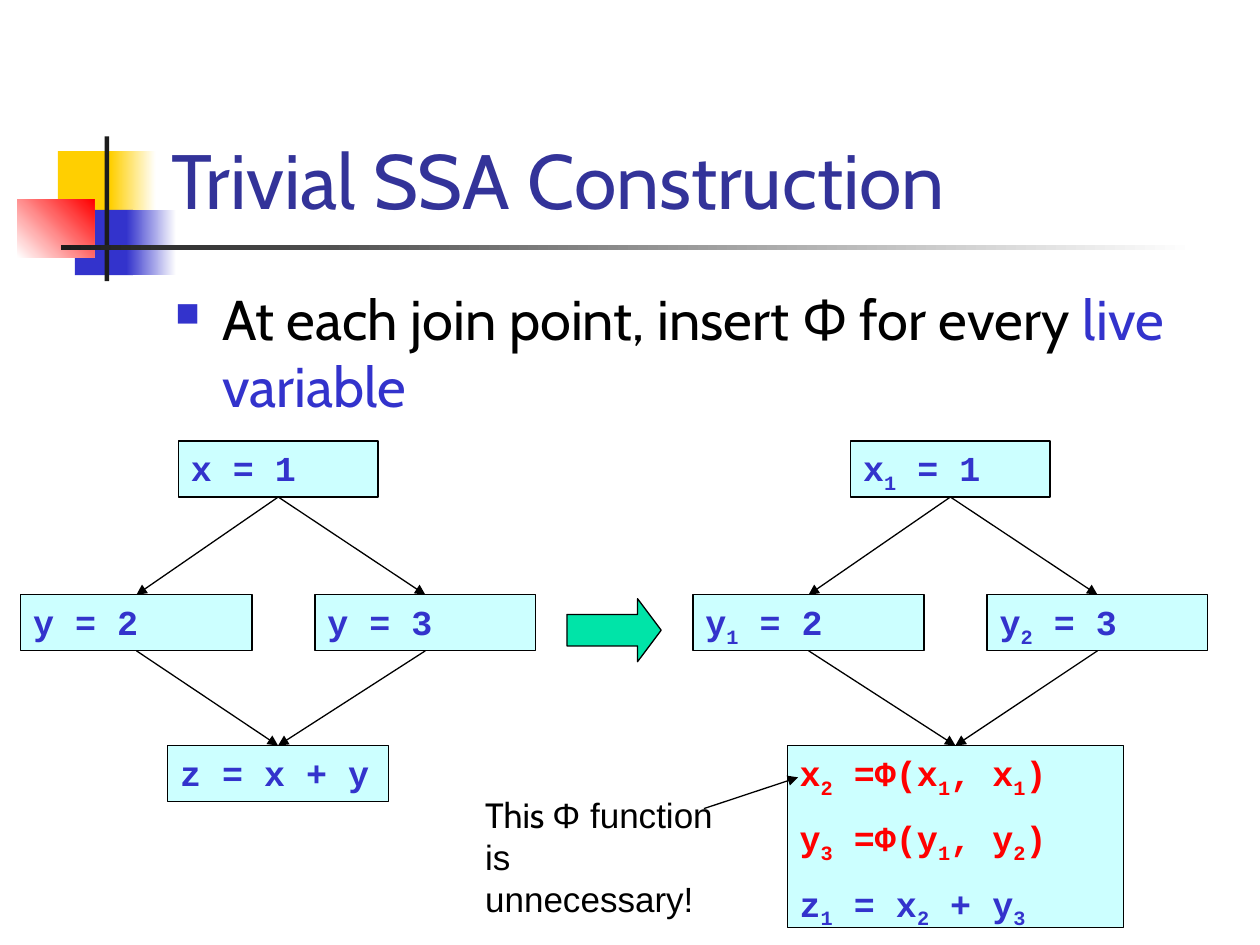
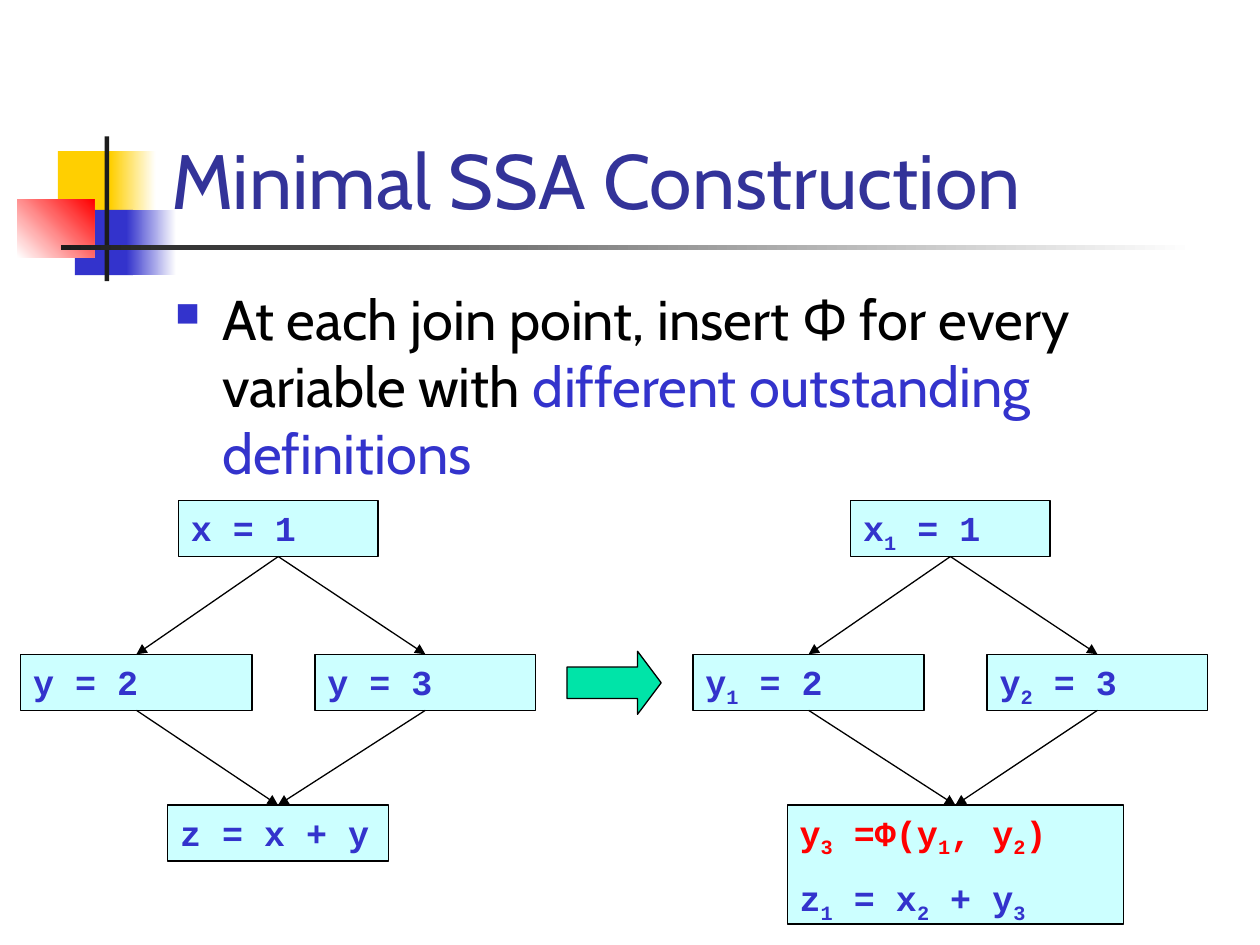
from pptx import Presentation
from pptx.dml.color import RGBColor
from pptx.enum.shapes import MSO_CONNECTOR, MSO_SHAPE
from pptx.enum.text import MSO_ANCHOR, PP_ALIGN
from pptx.oxml.ns import qn
from pptx.util import Cm, Pt
from lxml.etree import SubElement

COLORS = {
    "white": "FFFFFF", "black": "000000", "ink": "1C1C1C",
    "yellow": "FFCF01", "blue": "3333CC", "red": "FF0000",
    "title": "333399", "block": "CCFFFF", "arrow": "00E4A8",
}
TEXT_FONT, CODE_FONT, NOTE_FONT = "Cabin", "Courier New", "Arial"
BLOCK_HEIGHT = 1.13
BRANCH_DROP, JOIN_DROP = 3.1, 6.14


def rgb(name):
    return RGBColor.from_string(COLORS[name])


def add_run(paragraph, text, font_name, size, color, bold=False):
    run = paragraph.add_run()
    run.text = text
    run.font.name = font_name
    run.font.size = Pt(size)
    run.font.bold = bold
    run.font.color.rgb = rgb(color)
    return run


def add_box(slide, kind, left, top, width, height, fill, outlined=False):
    shape = slide.shapes.add_shape(kind, Cm(left), Cm(top), Cm(width), Cm(height))
    shape.shadow.inherit = False
    if isinstance(fill, tuple):
        start, end, angle = fill
        shape.fill.gradient()
        shape.fill.gradient_angle = angle
        for stop, color in zip(shape.fill.gradient_stops, (start, end)):
            stop.color.rgb = rgb(color)
    else:
        shape.fill.solid()
        shape.fill.fore_color.rgb = rgb(fill)
    if outlined:
        shape.line.color.rgb = rgb("black")
        shape.line.width = Pt(0.75)
    else:
        shape.line.fill.background()
    return shape


def add_text_frame(slide, left, top, width, height):
    box = slide.shapes.add_textbox(Cm(left), Cm(top), Cm(width), Cm(height))
    box.text_frame.word_wrap = True
    return box.text_frame


def add_ornament(slide, left, top):
    parts = [
        (0.82, 0.3, 1.22, 1.32, "yellow"),
        (1.88, 0.3, 0.91, 1.32, ("yellow", "white", 0)),
        (1.16, 1.48, 1.17, 1.32, "blue"),
        (2.2, 1.48, 1.0, 1.32, ("blue", "white", 0)),
        (0, 1.27, 1.55, 1.17, ("white", "red", 45)),
        (1.76, 0, 0.09, 2.92, "ink"),
        (0.88, 2.19, 22.86, 0.1, ("ink", "white", 0)),
    ]
    for dx, dy, width, height, fill in parts:
        add_box(slide, MSO_SHAPE.RECTANGLE, left + dx, top + dy, width, height, fill)


def add_title(slide, title):
    text_frame = add_text_frame(slide, 3.2, 0.6, 21.64, 4.06)
    text_frame.vertical_anchor = MSO_ANCHOR.BOTTOM
    add_run(text_frame.paragraphs[0], title, TEXT_FONT, 44, "title")


def add_rule(slide, opening, emphasis):
    paragraph = add_text_frame(slide, 3.28, 5.61, 21.59, 11.43).paragraphs[0]
    properties = paragraph._p.get_or_add_pPr()
    properties.set("marL", str(Cm(0.95)))
    properties.set("indent", str(-Cm(0.95)))
    bullet_color = SubElement(properties, qn("a:buClr"))
    SubElement(bullet_color, qn("a:srgbClr"), val=COLORS["blue"])
    SubElement(properties, qn("a:buSzPct"), val="60000")
    SubElement(properties, qn("a:buChar"), char="■")
    add_run(paragraph, opening, TEXT_FONT, 32, "black")
    add_run(paragraph, emphasis, TEXT_FONT, 32, "blue")


def write_code(paragraph, line):
    color = "red" if "Φ" in line else "blue"
    first, *indexed = line.split("_")
    add_run(paragraph, first, CODE_FONT, 20, color, True)
    for piece in indexed:
        subscript = add_run(paragraph, piece[0], CODE_FONT, 20, color, True)
        subscript._r.get_or_add_rPr().set("baseline", "-25000")
        if piece[1:]:
            add_run(paragraph, piece[1:], CODE_FONT, 20, color, True)


def add_block(slide, left, top, width, lines, height=BLOCK_HEIGHT):
    shape = add_box(slide, MSO_SHAPE.RECTANGLE, left, top, width, height, "block", True)
    text_frame = shape.text_frame
    text_frame.vertical_anchor = MSO_ANCHOR.TOP
    text_frame.margin_top = Cm(0.12)
    for index, line in enumerate(lines):
        paragraph = text_frame.add_paragraph() if index else text_frame.paragraphs[0]
        paragraph.alignment = PP_ALIGN.LEFT
        if index:
            paragraph.space_before = Pt(10)
        write_code(paragraph, line)
    return shape


def add_arrow(slide, start=(0, 0), end=(0, 0)):
    points = [Cm(value) for value in (*start, *end)]
    connector = slide.shapes.add_connector(MSO_CONNECTOR.STRAIGHT, *points)
    connector.line.color.rgb = rgb("black")
    connector.line.width = Pt(0.75)
    SubElement(connector.line._get_or_add_ln(), qn("a:tailEnd"), type="triangle")
    SubElement(connector._element.spPr, qn("a:effectLst"))
    return connector


def add_flow_graph(slide, left, top, code, join_left, join_width, join_height):
    entry_line, left_line, right_line, join_lines = code
    entry = add_block(slide, left + 3.18, top, 4.02, [entry_line])
    branches = [
        add_block(slide, left + dx, top + BRANCH_DROP, width, [line])
        for dx, width, line in ((0, 4.66, left_line), (5.93, 4.45, right_line))
    ]
    join = add_block(slide, left + join_left, top + JOIN_DROP, join_width,
                     join_lines, join_height)
    for branch in branches:
        for source, target in ((entry, branch), (branch, join)):
            connector = add_arrow(slide)
            connector.begin_connect(source, 2)
            connector.end_connect(target, 0)


def add_transformation(slide, top, arrow_top, join_lines, join_height):
    add_flow_graph(slide, 0.42, top, ("x = 1", "y = 2", "y = 3", ["z = x + y"]),
                   2.96, 4.45, BLOCK_HEIGHT)
    arrow = add_box(slide, MSO_SHAPE.RIGHT_ARROW, 11.43, arrow_top, 1.9, 1.27,
                    "arrow", True)
    arrow.adjustments[0] = 0.5
    arrow.adjustments[1] = 0.375
    add_flow_graph(slide, 13.97, top, ("x_1 = 1", "y_1 = 2", "y_2 = 3", join_lines),
                   1.9, 6.78, join_height)


def add_callout(slide, left, top):
    add_arrow(slide, (left + 4.66, top + 0.42), (left + 6.56, top - 0.21))
    paragraph = add_text_frame(slide, left, top, 5.25, 1.96).paragraphs[0]
    add_run(paragraph, "This ", TEXT_FONT, 20, "black")
    add_run(paragraph, "Φ function is unnecessary!", NOTE_FONT, 20, "black")


def add_construction_slide(presentation, title, opening, emphasis):
    slide = presentation.slides.add_slide(presentation.slide_layouts[6])
    add_ornament(slide, 0.35, 2.75)
    add_title(slide, title)
    add_rule(slide, opening, emphasis)
    return slide


def main():
    presentation = Presentation()
    presentation.slide_width = Cm(25.4)
    presentation.slide_height = Cm(19.05)
    minimal_join = ["y_3 =Φ(y_1, y_2)", "z_1 = x_2 + y_3"]

    trivial = add_construction_slide(
        presentation, "Trivial SSA Construction",
        "At each join point, insert Φ for every ", "live variable")
    add_transformation(trivial, 8.89, 12.07,
                       ["x_2 =Φ(x_1, x_1)", *minimal_join], 3.67)
    add_callout(trivial, 9.53, 15.88)

    minimal = add_construction_slide(
        presentation, "Minimal SSA Construction",
        "At each join point, insert Φ for every variable with ",
        "different outstanding definitions")
    add_transformation(minimal, 10.09, 13.13, minimal_join, 2.4)

    presentation.save("out.pptx")


if __name__ == "__main__":
    main()
